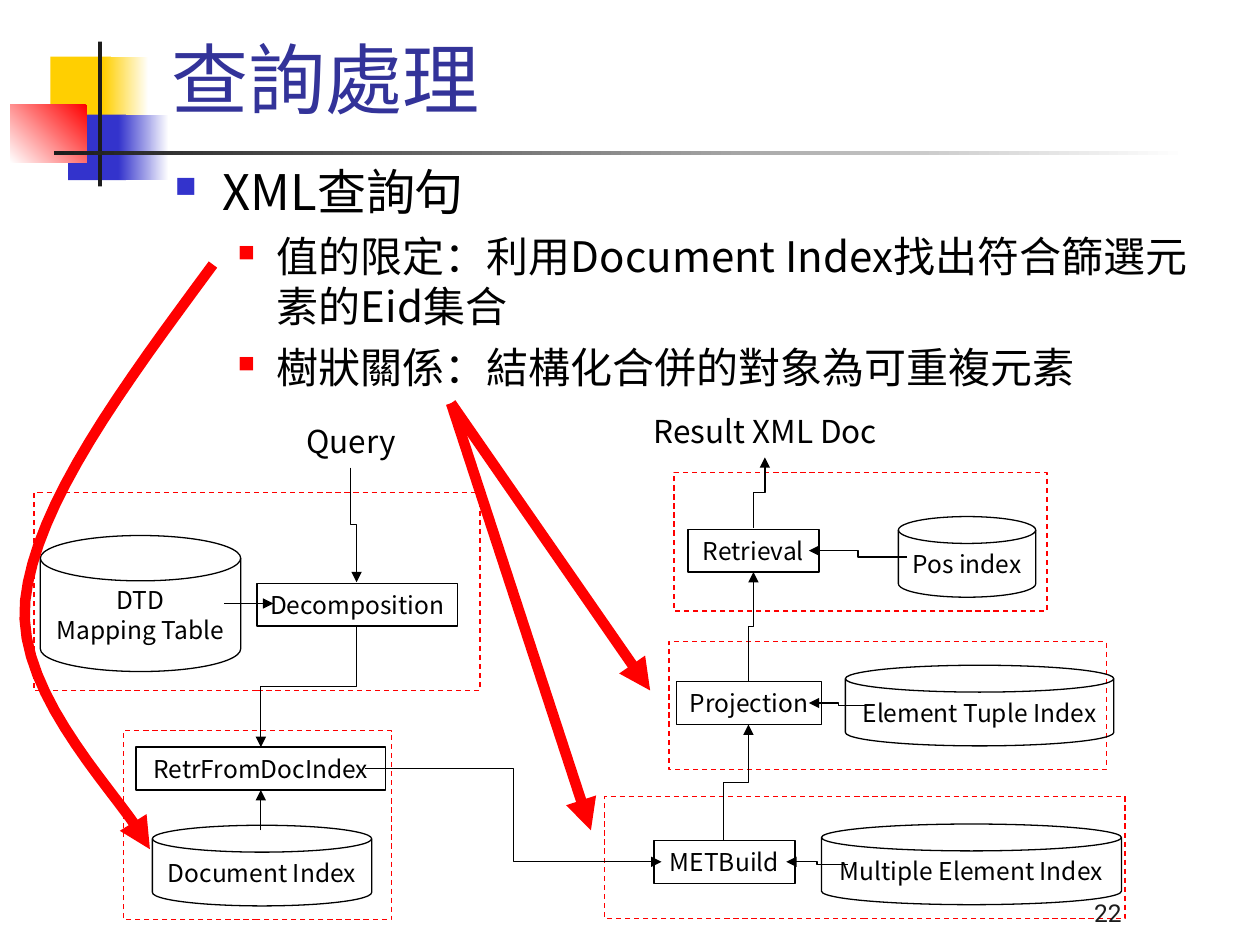
from pptx import Presentation
from pptx import util as u
from pptx.dml.color import RGBColor
from pptx.enum import dml, shapes, text
from pptx.oxml import ns
from lxml import etree

BLACK = RGBColor(0, 0, 0)
WHITE = RGBColor(0xFF, 0xFF, 0xFF)
INK = RGBColor(0x1C, 0x1C, 0x1C)
RED = RGBColor(0xFF, 0, 0)
YELLOW = RGBColor(0xFF, 0xCF, 0x01)
BLUE = RGBColor(0x33, 0x33, 0xCC)
NAVY = RGBColor(0x33, 0x33, 0x99)

RECT = shapes.MSO_SHAPE.RECTANGLE
DISK = shapes.MSO_SHAPE.FLOWCHART_MAGNETIC_DISK
STRAIGHT = shapes.MSO_CONNECTOR.STRAIGHT
ELBOW = shapes.MSO_CONNECTOR.ELBOW
LEFT, CENTER, RIGHT = (text.PP_ALIGN.LEFT, text.PP_ALIGN.CENTER,
                       text.PP_ALIGN.RIGHT)
TOP, MIDDLE, BOTTOM = (text.MSO_ANCHOR.TOP, text.MSO_ANCHOR.MIDDLE,
                       text.MSO_ANCHOR.BOTTOM)


class Slide:
    """Draws styled elements on one slide."""

    latin = "Roboto"
    body = "Noto Sans CJK SC"
    label_font = "Noto Sans CJK TC"

    def __init__(self, s):
        self.s = s

    def sub(self, parent, tag, **attrs):
        return etree.SubElement(parent, ns.qn(tag), **attrs)

    def style(self, p, size, color, font, align):
        p.alignment = align
        for r in p.runs:
            r.font.size, r.font.name = u.Pt(size), font
            r.font.color.rgb = color
            ea = self.label_font if font == self.latin else font
            self.sub(r.font._element, "a:ea", typeface=ea)

    def set_text(self, sp, words, size, color, font, align, anchor, wrap):
        tf = sp.text_frame
        tf.text = words
        tf.word_wrap, tf.vertical_anchor = wrap, anchor
        for p in tf.paragraphs:
            self.style(p, size, color, font, align)

    def shape(self, kind, box):
        sp = self.s.shapes.add_shape(kind, *map(u.Inches, box))
        sp.shadow.inherit = False
        sp.fill.background()
        sp.line.fill.background()
        return sp

    def block(self, box, color):
        sp = self.shape(RECT, box)
        sp.fill.solid()
        sp.fill.fore_color.rgb = color

    def fade(self, box, start, end, angle=180):
        sp = self.shape(RECT, box)
        sp.fill.gradient()
        sp.fill.gradient_angle = angle
        for stop, color, pos in zip(sp.fill.gradient_stops, (start, end), (0, 1)):
            stop.color.rgb, stop.position = color, pos

    def stroke(self, sp, color, width):
        sp.line.color.rgb, sp.line.width = color, u.Pt(width)

    def frame(self, box):
        sp = self.shape(RECT, box)
        self.stroke(sp, RED, 0.75)
        sp.line.dash_style = dml.MSO_LINE.DASH

    def node(self, kind, box, words):
        sp = self.shape(kind, box)
        self.stroke(sp, BLACK, 0.75)
        self.set_text(sp, words, 14, BLACK, self.label_font, CENTER, MIDDLE, False)
        return sp

    def textbox(self, box, words, size, color, font, align=LEFT, anchor=TOP,
                wrap=True):
        sp = self.s.shapes.add_textbox(*map(u.Inches, box))
        self.set_text(sp, words, size, color, font, align, anchor, wrap)
        return sp

    def bullets(self, box, items):
        tf = self.textbox(box, "\n".join(i[0] for i in items), 28, BLACK,
                          self.body).text_frame
        for p, (_, level, size, before, margin, hang, color, pct) in zip(
                tf.paragraphs, items):
            p.level, p.space_before = level, u.Pt(before)
            p.runs[0].font.size = u.Pt(size)
            pPr = p._p.get_or_add_pPr()
            pPr.set("marL", str(u.Inches(margin)))
            pPr.set("indent", str(-u.Inches(hang)))
            self.sub(self.sub(pPr, "a:buClr"), "a:srgbClr", val=str(color))
            self.sub(pPr, "a:buSzPct", val=str(pct * 1000))
            self.sub(pPr, "a:buChar", char="■")

    def arrowhead(self, sp):
        self.sub(sp.line._get_or_add_ln(), "a:tailEnd", type="triangle")

    def arrow(self, kind, start, end, color=BLACK, width=0.75):
        sp = self.s.shapes.add_connector(kind, *map(u.Inches, (*start, *end)))
        self.stroke(sp, color, width)
        self.arrowhead(sp)
        self.sub(sp._element.spPr, "a:effectLst")
        return sp

    def vertical_elbow(self, start, end):
        (x1, y1), (x2, y2) = start, end
        cx, cy = (x1 + x2) / 2, (y1 + y2) / 2
        a, b = (y2 - y1) / 2, (x1 - x2) / 2
        sp = self.arrow(ELBOW, (cx - a, cy - b), (cx + a, cy + b))
        sp._element.spPr.xfrm.set("rot", str(90 * 60000))

    def curve(self, start, segments, steps=16):
        points, p0 = [], start
        for p1, p2, p3 in segments:
            for t in (i / steps for i in range(1, steps + 1)):
                k = 1 - t
                points.append([u.Inches(k**3 * a + 3 * k * k * t * b
                                        + 3 * k * t * t * c + t**3 * d)
                               for a, b, c, d in zip(p0, p1, p2, p3)])
            p0 = p3
        fb = self.s.shapes.build_freeform(*map(u.Inches, start))
        fb.add_line_segments(points, close=False)
        sp = fb.convert_to_shape()
        sp.shadow.inherit = False
        sp.fill.background()
        self.stroke(sp, RED, 6)
        self.arrowhead(sp)


def main():
    prs = Presentation()
    prs.slide_width, prs.slide_height = u.Inches(10), u.Inches(7.5)
    s = Slide(prs.slides.add_slide(prs.slide_layouts[6]))

    s.block((0.4, 0.45, 0.48, 0.52), YELLOW)
    s.fade((0.82, 0.45, 0.36, 0.52), WHITE, YELLOW)
    s.block((0.54, 0.91, 0.46, 0.52), BLUE)
    s.fade((0.94, 0.91, 0.4, 0.52), WHITE, BLUE)
    s.fade((0.08, 0.83, 0.61, 0.46), RED, WHITE, 225)
    s.block((0.78, 0.33, 0.03, 1.15), INK)
    s.fade((0.43, 1.2, 9, 0.03), WHITE, INK)

    for box in ((4.8, 6.32, 4.13, 0.97), (0.27, 3.91, 3.54, 1.57),
                (5.31, 5.09, 3.47, 1.02), (0.98, 5.8, 2.13, 1.5),
                (5.35, 3.75, 2.96, 1.1)):
        s.frame(box)

    s.textbox((1.26, 0.17, 8.52, 0.86), "查詢處理", 44, NAVY, s.latin,
              anchor=BOTTOM)
    s.bullets((1.29, 1.23, 8.54, 1.94), (
        ("XML查詢句", 0, 28, 7, 0.38, 0.38, BLUE, 60),
        ("值的限定：利用Document Index找出符合篩選元素的Eid集合",
         1, 24, 6, 0.81, 0.31, RED, 55),
        ("樹狀關係：結構化合併的對象為可重複元素",
         1, 24, 6, 0.81, 0.31, RED, 55)))
    for box, words in (((2.32, 3.3, 0.93, 0.4), "Query"),
                       ((5.04, 3.22, 2.07, 0.4), "Result XML Doc")):
        s.textbox(box, words, 18, BLACK, s.label_font, CENTER, MIDDLE, False)

    steps = {words: s.node(RECT, (x, y, w, 0.34), words) for x, y, w, words in (
        (2.04, 4.63, 1.59, "Decomposition"),
        (1.08, 5.93, 1.98, "RetrFromDocIndex"),
        (5.19, 6.67, 1.12, "METBuild"),
        (5.37, 5.41, 1.15, "Projection"),
        (5.46, 4.2, 1.04, "Retrieval"))}
    for x, y, w, h, words in ((0.32, 4.25, 1.59, 1.08, "DTD\nMapping Table"),
                              (1.21, 6.55, 1.74, 0.64, "Document Index"),
                              (7.13, 4.1, 1.09, 0.64, "Pos index"),
                              (6.52, 6.54, 2.38, 0.64, "Multiple Element Index"),
                              (6.71, 5.28, 2.13, 0.64, "Element Tuple Index")):
        s.node(DISK, (x, y, w, h), words)

    for start, end in (((2.78, 3.71), (2.83, 4.62)), ((2.83, 4.97), (2.07, 5.93)),
                       ((5.74, 6.67), (5.94, 5.75)), ((5.94, 5.41), (5.98, 4.54)),
                       ((5.98, 4.19), (6.07, 3.63))):
        s.vertical_elbow(start, end)
    for start, end in (((7.2, 4.42), (6.42, 4.37)), ((6.73, 6.86), (6.24, 6.84)),
                       ((2.9, 6.1), (5.25, 6.84)), ((6.89, 5.6), (6.42, 5.58))):
        s.arrow(ELBOW, start, end)
    s.arrow(STRAIGHT, (1.78, 4.79), (2.17, 4.79))
    lookup = s.arrow(STRAIGHT, (2.07, 6.59), (2.07, 6.27))
    lookup.end_connect(steps["RetrFromDocIndex"], 2)

    s.curve((1.69, 2.1), (((0.99, 3.05), (0.28, 4), (0.2, 4.77)),
                          ((0.12, 5.55), (1.02, 6.37), (1.19, 6.74))))
    for end in ((4.69, 6.59), (5.16, 5.48)):
        s.arrow(STRAIGHT, (3.58, 3.2), end, RED, 6)

    s.textbox((6.92, 6.91, 2.08, 0.5), "22", 14, INK, s.latin, RIGHT, BOTTOM)
    prs.save("out.pptx")


if __name__ == "__main__":
    main()
